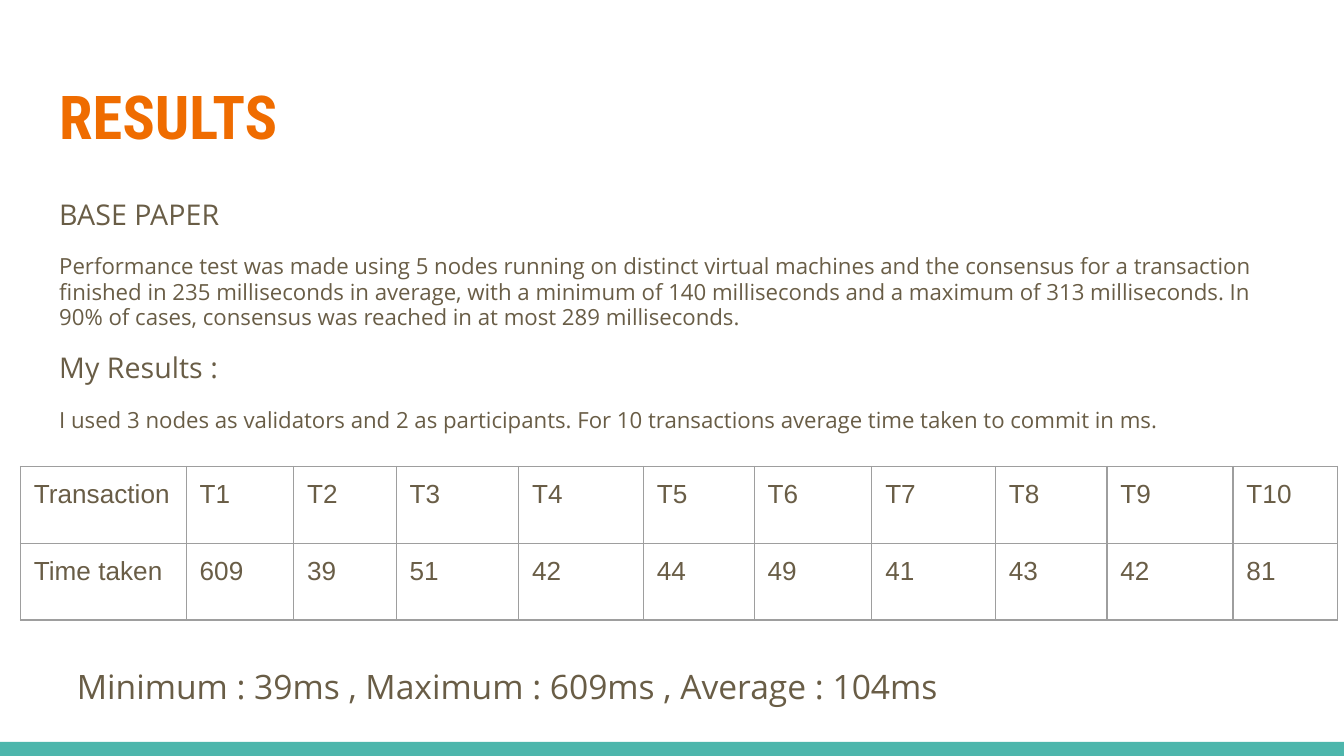
from lxml.etree import SubElement
from pptx import Presentation
from pptx.dml.color import RGBColor
from pptx.enum.shapes import MSO_SHAPE
from pptx.enum.text import MSO_ANCHOR
from pptx.oxml.ns import qn
from pptx.util import Inches, Pt

ORANGE, TEAL, BROWN, GRAY = "EF6C00", "4DB6AC", "695D46", "9E9E9E"
COLUMNS = 100


def color(value):
    return RGBColor.from_string(value)


class ResultsSlide:
    body_font = "Open Sans"
    title_font = "Roboto Condensed"
    table_font = "Arial"
    inset = Inches(0.1)

    def __init__(self, presentation):
        self.cell = presentation.slide_width / COLUMNS
        self.slide = presentation.slides.add_slide(presentation.slide_layouts[6])
        self.slide.background.fill.solid()
        self.slide.background.fill.fore_color.rgb = color("FFFFFF")

    def grid(self, *spans):
        return [round(span * self.cell) for span in spans]

    def style(self, paragraph, size, font, tint=BROWN, bold=False):
        for run in paragraph.runs:
            run.font.size = Pt(size)
            run.font.name = font
            run.font.bold = bold
            run.font.color.rgb = color(tint)

    def pad(self, area):
        area.margin_left = area.margin_right = self.inset
        area.margin_top = area.margin_bottom = self.inset
        area.vertical_anchor = MSO_ANCHOR.TOP

    def band(self, place, tint):
        stripe = self.slide.shapes.add_shape(MSO_SHAPE.RECTANGLE, *self.grid(*place))
        stripe.shadow.inherit = False
        stripe.fill.solid()
        stripe.fill.fore_color.rgb = color(tint)
        stripe.line.fill.background()

    def text(self, place, lines, font, tint=BROWN, bold=False, spacing=1, before=0, after=0):
        frame = self.slide.shapes.add_textbox(*self.grid(*place)).text_frame
        frame.word_wrap = True
        self.pad(frame)
        frame.text = "\n".join(wording for wording, _ in lines)
        for index, (paragraph, (_, size)) in enumerate(zip(frame.paragraphs, lines)):
            paragraph.line_spacing = spacing
            paragraph.space_before = Pt(before if index else 0)
            paragraph.space_after = Pt(after)
            self.style(paragraph, size, font, tint, bold)

    def border(self, cell, tint, width):
        properties = cell._tc.get_or_add_tcPr()
        for position, side in enumerate(("a:lnL", "a:lnR", "a:lnT", "a:lnB")):
            edge = SubElement(properties, qn(side), w=str(Pt(width)))
            fill = SubElement(edge, qn("a:solidFill"))
            SubElement(fill, qn("a:srgbClr"), val=tint)
            properties.insert(position, edge)

    def table(self, left, top, widths, row_height, records):
        place = self.grid(left, top, sum(widths), row_height * len(records))
        timings = self.slide.shapes.add_table(len(records), len(widths), *place).table
        timings.first_row = timings.horz_banding = False
        for column, width in zip(timings.columns, self.grid(*widths)):
            column.width = width
        for row, record in zip(timings.rows, records):
            row.height = self.grid(row_height)[0]
            for cell, wording in zip(row.cells, record):
                cell.text = wording
                self.pad(cell)
                cell.fill.background()
                self.border(cell, GRAY, 0.75)
                self.style(cell.text_frame.paragraphs[0], 14, self.table_font)


def main():
    presentation = Presentation()
    presentation.slide_width = Inches(10)
    presentation.slide_height = presentation.slide_width * 9 // 16
    results = ResultsSlide(presentation)

    results.band((0, 55.2, COLUMNS, 1.05), TEAL)
    results.text((3.42, 4.9, 93.2, 7.7), [("RESULTS", 32.4)],
                 results.title_font, ORANGE, bold=True)

    heading, detail = 15.3, 11.9
    findings = [
        ("BASE PAPER", heading),
        ("Performance test was made using 5 nodes running on distinct virtual machines "
         "and the consensus for a transaction finished in 235 milliseconds in average, "
         "with a minimum of 140 milliseconds and a maximum of 313 milliseconds. "
         "In 90% of cases, consensus was reached in at most 289 milliseconds.", detail),
        ("My Results :", heading),
        ("I used 3 nodes as validators and 2 as participants. For 10 transactions "
         "average time taken to commit in ms.", detail),
    ]
    results.text((3.42, 13.84, 93.2, 36.1), findings, results.body_font,
                 spacing=0.95, before=12)

    times = [609, 39, 51, 42, 44, 49, 41, 43, 42, 81]
    records = [
        ["Transaction"] + [f"T{number}" for number in range(1, len(times) + 1)],
        ["Time taken"] + [str(time) for time in times],
    ]
    widths = [12.34, 8, 7.62, 9.12, 9.28, 8.24, 8.76, 9.2, 8.3, 9.38, 7.78]
    results.table(1.52, 34.7, widths, 5.72, records)

    results.text((4.74, 48.1, 66.1, 5),
                 [("Minimum : 39ms , Maximum : 609ms , Average : 104ms", 18)],
                 results.body_font, spacing=1.15, after=12)

    presentation.save("out.pptx")


if __name__ == "__main__":
    main()
